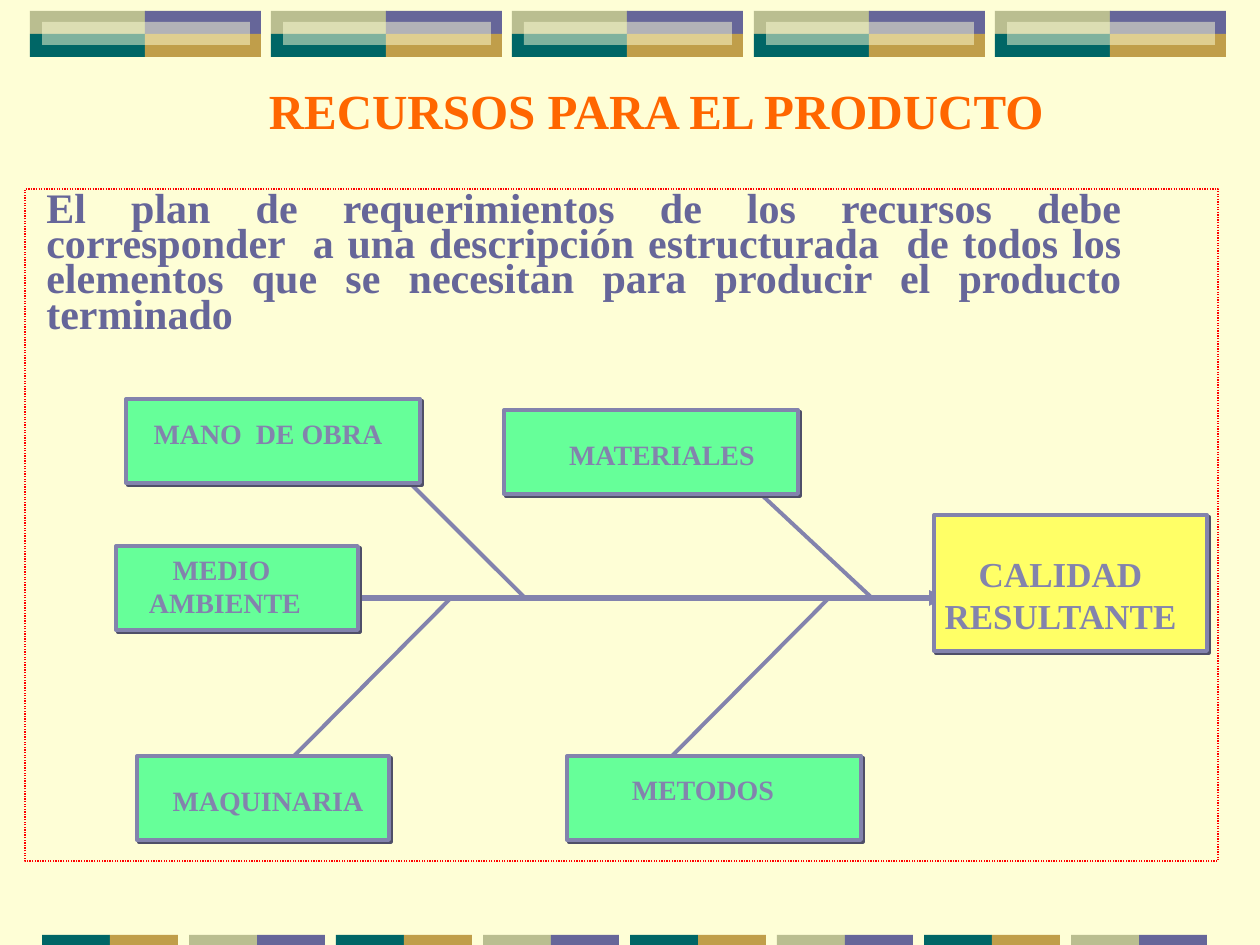
from dataclasses import dataclass

from lxml import etree
from pptx import Presentation
from pptx import util as u
from pptx.dml.color import RGBColor
from pptx.enum import dml, shapes, text
from pptx.oxml import parse_xml
from pptx.oxml.ns import nsdecls, qn

PX_PER_INCH = 126


@dataclass(frozen=True)
class Theme:
    cream: str = "FEFED6"
    violet: str = "666699"
    gold: str = "C09E4A"
    teal: str = "006666"
    sage: str = "BABE90"
    lilac: str = "8383AD"
    shadow: str = "4F4F68"
    green: str = "66FF99"
    yellow: str = "FFFF66"
    red: str = "FF0000"
    orange: str = "FF6600"
    font: str = "Times New Roman"
    title_size: int = 28
    body_size: int = 24
    result_size: int = 20
    cause_size: int = 16
    spine_line: float = 3
    bone_line: float = 2.25
    frame_line: float = 0.75


def px(n):
    return u.Emu(round(n * u.Inches(1) / PX_PER_INCH))


def rgb(value):
    return RGBColor.from_string(value)


class SlideBuilder:
    def __init__(self, s, theme):
        self.s = s
        self.theme = theme
        s.background.fill.solid()
        s.background.fill.fore_color.rgb = rgb(theme.cream)

    def rect(self, box, fill=None, line=None, width=0):
        sp = self.s.shapes.add_shape(shapes.MSO_SHAPE.RECTANGLE, *map(px, box))
        sp.shadow.inherit = False
        if fill:
            sp.fill.solid()
            sp.fill.fore_color.rgb = rgb(fill)
        else:
            sp.fill.background()
        if line:
            sp.line.color.rgb = rgb(line)
            sp.line.width = u.Pt(width)
        else:
            sp.line.fill.background()
        return sp

    def veil(self, box):
        """Half-transparent cream rectangle."""
        sp = self.rect(box, self.theme.cream)
        color = sp._element.spPr.find(".//" + qn("a:srgbClr"))
        etree.SubElement(color, qn("a:alpha"), val="50000")

    def card(self, box, fill):
        """Outlined box with a hard shadow to the lower right."""
        sp = self.rect(box, fill, self.theme.lilac, self.theme.bone_line)
        effects = sp._element.spPr.find(qn("a:effectLst"))
        effects.append(parse_xml(
            f'<a:outerShdw {nsdecls("a")} blurRad="0" dist="{u.Pt(1.4)}" dir="2700000" '
            f'algn="ctr" rotWithShape="0"><a:srgbClr val="{self.theme.shadow}"/></a:outerShdw>'))

    def frame(self, box):
        sp = self.rect(box, None, self.theme.red, self.theme.frame_line)
        sp.line.dash_style = dml.MSO_LINE.ROUND_DOT

    def line(self, start, end, width, arrow=False):
        c = self.s.shapes.add_connector(
            shapes.MSO_CONNECTOR.STRAIGHT, *map(px, start + end))
        c.line.color.rgb = rgb(self.theme.lilac)
        c.line.width = u.Pt(width)
        if arrow:
            ln = c._element.spPr.find(qn("a:ln"))
            etree.SubElement(ln, qn("a:tailEnd"), type="triangle")
        etree.SubElement(c._element.spPr, qn("a:effectLst"))

    def set_text(self, sp, words, size, color, align=text.PP_ALIGN.CENTER, spacing=None):
        tf = sp.text_frame
        frame_format = dict(
            word_wrap=True, auto_size=text.MSO_AUTO_SIZE.NONE,
            vertical_anchor=text.MSO_ANCHOR.TOP,
            margin_left=u.Inches(0.1), margin_right=u.Inches(0.1),
            margin_top=u.Inches(0.05), margin_bottom=u.Inches(0.05))
        p = tf.paragraphs[0]
        r = p.add_run()
        r.text = words
        para_format = dict(alignment=align, line_spacing=spacing,
                           space_before=u.Pt(size * 0.625))
        font_format = dict(name=self.theme.font, size=u.Pt(size), bold=True)
        for target, values in ((tf, frame_format), (p, para_format), (r.font, font_format)):
            for name, value in values.items():
                setattr(target, name, value)
        r.font.color.rgb = rgb(color)

    def label(self, box, *args, **kwargs):
        self.set_text(self.s.shapes.add_textbox(*map(px, box)), *args, **kwargs)

    def title(self, box, words):
        sp = self.s.shapes.title
        sp.left, sp.top, sp.width, sp.height = map(px, box)
        self.set_text(sp, words, self.theme.title_size, self.theme.orange)

    def top_band(self, count=5, x0=30, y=11, w=116, h=23):
        t = self.theme
        grid = ((t.sage, t.violet), (t.teal, t.gold))
        for i in range(count):
            x = x0 + i * 1207 // 5
            for row, colors in enumerate(grid):
                for col, color in enumerate(colors):
                    self.rect((x + col * (w - 1), y + row * h, w, h), color)
            self.veil((x + 12, y + 11, 208, h))

    def bottom_band(self, count=8, x0=42, y=935, w=68, h=10, pitch=147):
        t = self.theme
        pairs = ((t.teal, t.gold), (t.sage, t.violet))
        for i in range(count):
            for col, color in enumerate(pairs[i % 2]):
                self.rect((x0 + i * pitch + col * w, y, w, h), color)


def main():
    prs = Presentation()
    prs.slide_width, prs.slide_height = u.Inches(10), u.Inches(7.5)
    theme = Theme()
    b = SlideBuilder(prs.slides.add_slide(prs.slide_layouts[5]), theme)

    b.top_band()
    b.bottom_band()
    b.title((168, 74, 976, 72), "RECURSOS PARA EL PRODUCTO")

    spine_y = 598
    b.line((357, spine_y), (945, spine_y), theme.spine_line, arrow=True)
    bones = (((368, 441), (525, spine_y)), ((704, 441), (872, spine_y)),
             ((451, spine_y), (294, 756)), ((829, spine_y), (662, 766)))
    for start, end in bones:
        b.line(start, end, theme.bone_line)

    # Words, card box, label box
    causes = (
        ("MEDIO  AMBIENTE", (116, 546, 242, 84), (94, 546, 262, 81)),
        ("MAQUINARIA", (137, 756, 252, 84), (137, 777, 262, 47)),
        ("METODOS", (567, 756, 294, 84), (577, 766, 252, 47)),
        ("MANO  DE OBRA", (126, 399, 294, 84), (137, 410, 262, 47)),
        ("MATERIALES", (504, 410, 294, 84), (536, 431, 252, 47)),
    )
    for _, card, _ in causes:
        b.card(card, theme.green)
    b.card((934, 515, 273, 136), theme.yellow)
    b.frame((25, 189, 1193, 672))
    for words, _, label in causes:
        b.label(label, words, theme.cause_size, theme.lilac)
    b.label((924, 546, 273, 97), "CALIDAD RESULTANTE", theme.result_size, theme.lilac)
    b.label((34, 189, 1100, 154),
            "El plan de requerimientos de los recursos debe corresponder  a una descripción "
            "estructurada  de todos los elementos que se necesitan para producir el producto "
            "terminado",
            theme.body_size, theme.violet, align=text.PP_ALIGN.JUSTIFY, spacing=0.7)

    prs.save("out.pptx")


if __name__ == "__main__":
    main()
